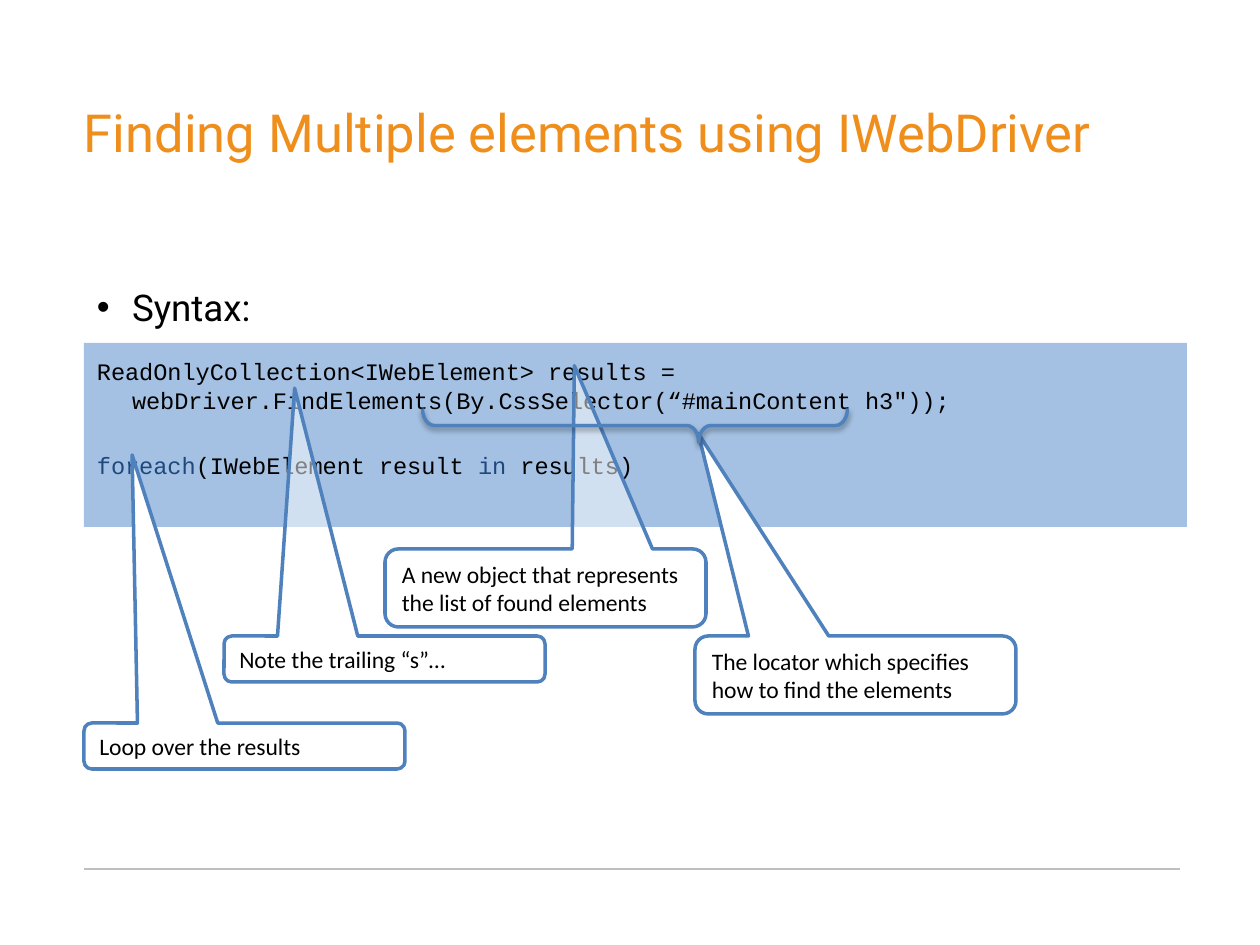
from lxml import etree
from pptx import Presentation
from pptx.dml.color import RGBColor
from pptx.enum.shapes import MSO_CONNECTOR, MSO_SHAPE
from pptx.enum.text import MSO_ANCHOR, PP_ALIGN
from pptx.oxml.ns import qn
from pptx.util import Emu, Pt

RECT = MSO_SHAPE.RECTANGLE
CALLOUT = MSO_SHAPE.ROUNDED_RECTANGULAR_CALLOUT
BRACE = MSO_SHAPE.LEFT_BRACE
STRAIGHT = MSO_CONNECTOR.STRAIGHT
TOP, MIDDLE = MSO_ANCHOR.TOP, MSO_ANCHOR.MIDDLE
LEFT = PP_ALIGN.LEFT

ORANGE = RGBColor(0xF0, 0x8E, 0x1B)
BLACK = RGBColor(0, 0, 0)
WHITE = RGBColor(0xFF, 0xFF, 0xFF)
PANEL = RGBColor(0x4B, 0x84, 0xC9)
BLUE = RGBColor(0x4F, 0x81, 0xBD)
NAVY = RGBColor(0x1F, 0x49, 0x7D)
GREY = RGBColor(0xBF, 0xBF, 0xBF)

SCALE = 914400 / 126
HANG = 35  # hanging indent of the body text


def px(n):
    return Emu(round(n * SCALE))


def style(font, name, size, color):
    font.name, font.size, font.color.rgb = name, Pt(size), color


def add_shape(slide, kind, box, fill=None, alpha=100, line=None):
    shape = slide.shapes.add_shape(kind, *map(px, box))
    shape.shadow.inherit = False
    if fill is None:
        shape.fill.background()
    else:
        shape.fill.solid()
        shape.fill.fore_color.rgb = fill
        if alpha < 100:
            clr = shape._element.spPr.find(qn("a:solidFill"))[0]
            etree.SubElement(clr, qn("a:alpha"), val=str(alpha * 1000))
    if line is None:
        shape.line.fill.background()
    else:
        shape.line.color.rgb = line
        shape.line.width = Pt(2)
    return shape


def set_frame(shape, anchor, left=13, top=13):
    frame = shape.text_frame
    frame.word_wrap = True
    frame.vertical_anchor = anchor
    frame.margin_left, frame.margin_top = px(left), px(top)
    frame.margin_right, frame.margin_bottom = px(13), px(6)
    return frame


def set_hang(para, bullet=None):
    para.alignment = LEFT
    props = para._p.get_or_add_pPr()
    props.set("marL", str(px(HANG)))
    props.set("indent", str(-px(HANG)))
    if bullet:
        etree.SubElement(props, qn("a:buFont"), typeface="Arial")
        etree.SubElement(props, qn("a:buChar"), char=bullet)


def add_title(slide, box, text):
    label = slide.shapes.add_textbox(*map(px, box))
    para = set_frame(label, MIDDLE, 0, 0).paragraphs[0]
    para.text = text
    style(para.runs[0].font, "Roboto", 30, ORANGE)


def add_bullet(slide, box, text):
    shape = add_shape(slide, RECT, box, WHITE, 69)
    para = set_frame(shape, TOP).paragraphs[0]
    para.text = text
    set_hang(para, "•")
    style(para.runs[0].font, "Roboto", 21, BLACK)


def add_code(slide, box, paras):
    frame = set_frame(add_shape(slide, RECT, box, PANEL, 50), TOP)
    for i, parts in enumerate(paras):
        para = frame.add_paragraph() if i else frame.paragraphs[0]
        set_hang(para)
        para.line_spacing = Pt(16.5)
        if i:
            para.space_before = Pt(21)
        para.text = parts[0][0]
        for text, _ in parts[1:]:
            para.add_run().text = text
        colors = [color for _, color in parts]
        for j, run in enumerate(para.runs):
            style(run.font, "Courier New", 13.5, colors[min(j, len(colors) - 1)])


def add_note(slide, box, tip, text, alpha=100):
    """Callout whose tail ends at tip, as shares of its width and height."""
    shape = add_shape(slide, CALLOUT, box, WHITE, alpha, BLUE)
    for i, value in enumerate((*tip, 0.17)):
        shape.adjustments[i] = value
    para = set_frame(shape, MIDDLE, top=6).paragraphs[0]
    para.text = text
    para.alignment = LEFT
    style(para.runs[0].font, "Calibri", 13.5, BLACK)


def add_brace(slide, box):
    shape = add_shape(slide, BRACE, box, line=BLUE)
    shape.rotation = 270
    shape.adjustments[0], shape.adjustments[1] = 0.35, 0.65
    effects = shape._element.spPr.find(qn("a:effectLst"))
    shade = etree.SubElement(effects, qn("a:outerShdw"), blurRad=str(Pt(3.1)),
                             dist=str(Pt(1.6)), dir="5400000", rotWithShape="0")
    color = etree.SubElement(shade, qn("a:srgbClr"), val="000000")
    etree.SubElement(color, qn("a:alpha"), val="38000")


def add_rule(slide, left, right, y):
    rule = slide.shapes.add_connector(STRAIGHT, px(left), px(y), px(right), px(y))
    rule.line.color.rgb = GREY
    rule.line.width = Pt(0.75)
    etree.SubElement(rule._element.spPr, qn("a:effectLst"))


def main():
    deck = Presentation()
    deck.slide_width, deck.slide_height = px(1260), px(945)
    slide = deck.slides.add_slide(deck.slide_layouts[6])

    # Footer rule, title and body
    add_rule(slide, 84, 1180, 869)
    add_title(slide, (84, 65, 1101, 140), "Finding Multiple elements using IWebDriver")
    add_bullet(slide, (84, 272, 1101, 71), "Syntax:")
    add_code(slide, (84, 343, 1103, 184), [
        [("ReadOnlyCollection<IWebElement> results =\v"
          "webDriver.FindElements(By.CssSelector(“#mainContent h3\"));", BLACK)],
        [("foreach", NAVY), ("(IWebElement result ", BLACK),
         ("in", NAVY), (" results)", BLACK)],
    ])

    # Callouts and the brace under the locator
    add_note(slide, (385, 549, 321, 78), (0.09, -2.85),
             "A new object that represents the list of found elements", 50)
    add_note(slide, (695, 636, 321, 78), (-0.49, -3.1),
             "The locator which specifies how to find the elements")
    add_brace(slide, (618, 213, 34, 425))
    add_note(slide, (84, 723, 321, 46), (-0.35, -6.33), "Loop over the results")
    add_note(slide, (224, 636, 321, 46), (-0.28, -5.89), "Note the trailing “s”…", 50)

    deck.save("out.pptx")


if __name__ == "__main__":
    main()
